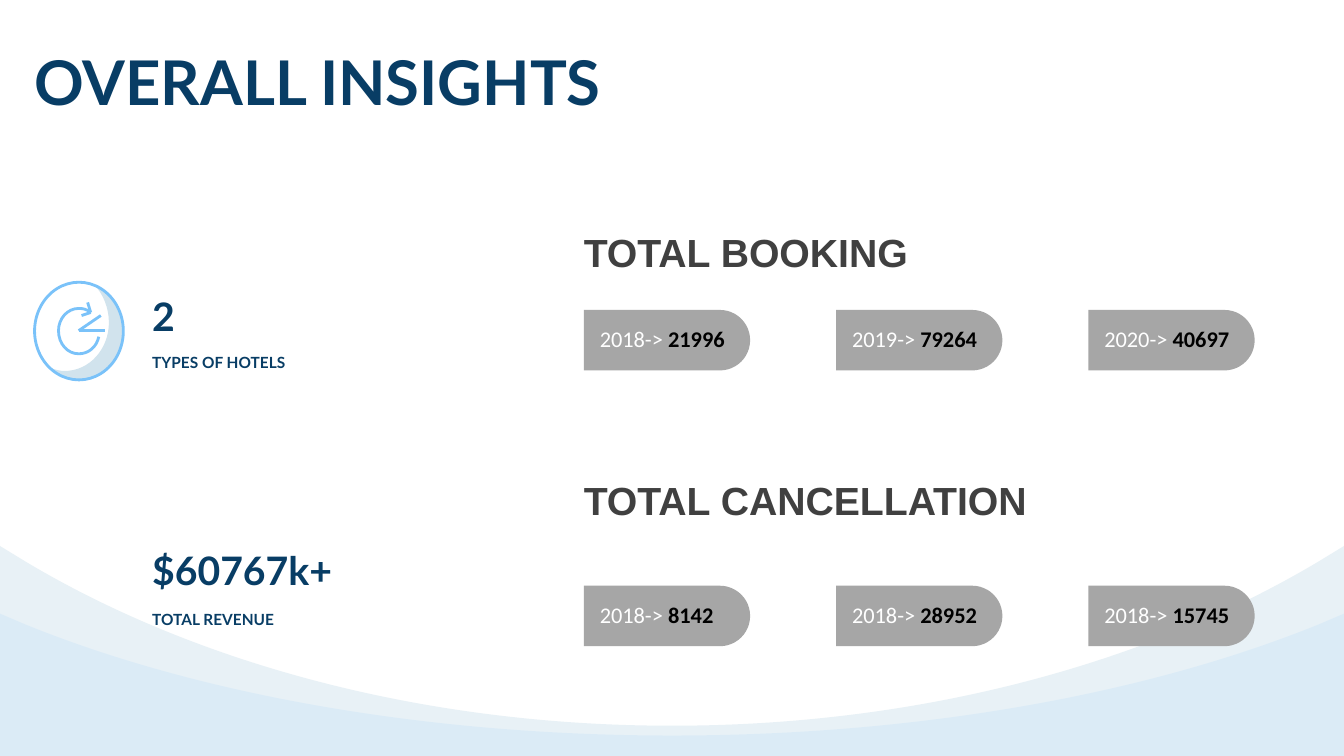
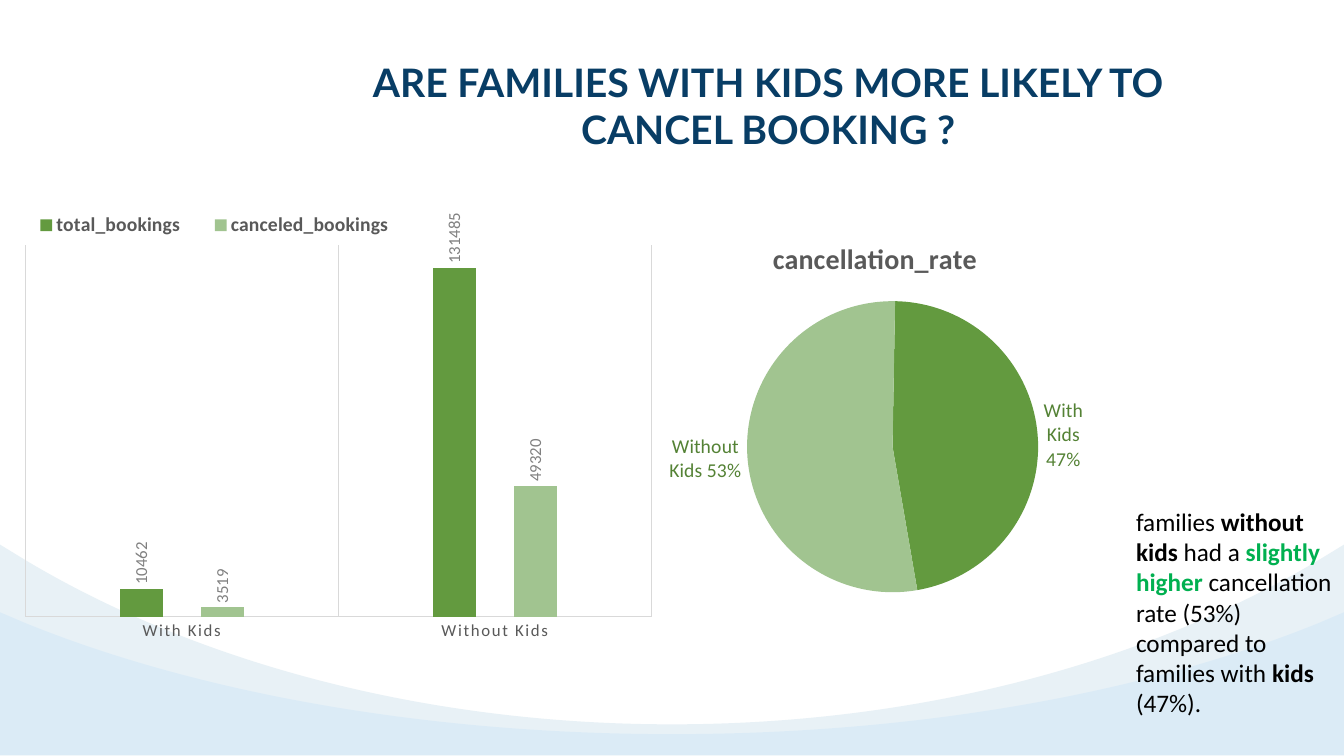
"""Builds two hotel booking slides: overall insights and cancellations by family type."""
from lxml import etree
from pptx import Presentation
from pptx.chart.data import CategoryChartData
from pptx.dml.color import RGBColor
from pptx.enum.chart import XL_CHART_TYPE, XL_LABEL_POSITION, XL_LEGEND_POSITION, XL_TICK_MARK
from pptx.enum.shapes import MSO_CONNECTOR, MSO_SHAPE
from pptx.enum.text import MSO_ANCHOR, MSO_AUTO_SIZE, PP_ALIGN
from pptx.oxml.ns import qn
from pptx.util import Pt

LEFT, CENTER, JUSTIFY = PP_ALIGN.LEFT, PP_ALIGN.CENTER, PP_ALIGN.JUSTIFY
COLUMNS, PIE = XL_CHART_TYPE.COLUMN_CLUSTERED, XL_CHART_TYPE.PIE
OUTSIDE, TOP = XL_LABEL_POSITION.OUTSIDE_END, XL_LEGEND_POSITION.TOP
NO_TICK = XL_TICK_MARK.NONE
ELLIPSE, PILL = MSO_SHAPE.OVAL, MSO_SHAPE.ROUND_2_SAME_RECTANGLE
STRAIGHT = MSO_CONNECTOR.STRAIGHT

NAVY, SKY, WHITE, BLACK = "083D65", "7AC2F9", "FFFFFF", "000000"
PALE, CRESCENT_BLUE, PILL_GREY = "E8F1F6", "D1E3ED", "A6A6A6"
DARK, GREY, LABEL_GREY, RULE = "404040", "595959", "808080", "D9D9D9"
GREENS, LABEL_GREEN, HIGHLIGHT = ("639A3F", "A1C490"), "548235", "00B050"


def font_style(name, size, color, bold=False):
    return {"name": name, "size": size, "color": color, "bold": bold}


BIG_TITLE = font_style("Lato", 44, NAVY, True)
TITLE = font_style("Lato", 28, NAVY, True)
CAPTION = font_style("Lato", 11, NAVY, True)
HEADING = font_style("Arial", 28, DARK, True)
YEAR = font_style("Calibri", 16, WHITE)
COUNT = font_style("Calibri", 16, BLACK, True)
BODY = font_style("Calibri", 18, BLACK)
STRONG = font_style("Calibri", 18, BLACK, True)
GREEN = font_style("Calibri", 18, HIGHLIGHT, True)

WAVES = [
    ([(0, 390), (18, 401), (139.7, 473.8, 302.4, 518.4, 480, 518.4),
      (658, 518.4, 820, 473.8, 942, 401), (960, 390), (960, 540.5), (0, 540.5)], PALE, None),
    ([(0, 438.3), (18, 446), (139.7, 495.4, 302.4, 525.4, 480, 525.4),
      (658, 525.4, 820, 495.4, 942, 446), (960, 438.3), (960, 540.5), (0, 540.5)], SKY, 11),
]
ICON_BOX = (24.7, 201.6, 63.4, 69.8)
CRESCENT = [(87.8, 236.2), (87.8, 255.6, 74.2, 271.4, 56.2, 271.4),
            (49, 271.4, 41.8, 268.6, 36, 262.8), (39.6, 264.2, 43.2, 265, 46.1, 265),
            (64.1, 265, 77.8, 249.1, 77.8, 230.4), (77.8, 219.6, 73.4, 209.5, 67, 203),
            (79.2, 208.1, 87.8, 221, 87.8, 236.2)]
ARC = [(70.6, 240.5), (69.1, 247.7, 63.4, 252.7, 56.2, 252.7),
       (48.2, 252.7, 41.8, 245.5, 41.8, 236.2), (41.8, 227.5, 48.2, 220.3, 56.2, 220.3),
       (59.8, 220.3, 62, 221, 64.8, 223.2)]
HANDS = [(56.2, 236.2, 72, 225.4), (56.2, 236.2, 74.9, 236.2),
         (58.3, 225.4, 64.8, 223.2), (64.8, 223.2, 62.6, 216)]

FACTS = [("2", 208.8, "TYPES OF HOTELS", 252.2), ("$60767k+", 390.2, "TOTAL REVENUE", 435.6)]
TOTALS = [
    ("TOTAL BOOKING", 163.4, 221.4, [("2018", "21996"), ("2019", "79264"), ("2020", "40697")]),
    ("TOTAL CANCELLATION", 340.2, 418.4, [("2018", "8142"), ("2018", "28952"), ("2018", "15745")]),
]
PILL_LEFT, PILL_STEP, PILL_W, PILL_H = 417, 180.2, 118.8, 43.2

FINDING = [("families ", BODY), ("without kids ", STRONG), ("had a ", BODY),
           ("slightly higher ", GREEN), ("cancellation rate (53%) compared to families with ", BODY),
           ("kids ", STRONG), ("(47%).", BODY)]
GROUPS = ["With Kids", "Without Kids"]
BOOKINGS = [("total_bookings", (10462, 131485)), ("canceled_bookings", (3519, 49320))]
RATES = [("cancellation_rate", (47, 53))]
RATE_LABELS = [("With", "Kids", "47%"), ("Without Kids 53%",)]


def rgb(color):
    return RGBColor.from_string(color)


def pts(*values):
    return [Pt(v) for v in values]


def set_font(font, style):
    for key, value in style.items():
        if key == "color":
            font.color.rgb = rgb(value)
        else:
            setattr(font, key, Pt(value) if key == "size" else value)


def fill_text(tf, runs, align=LEFT, inset=0):
    sides = ("margin_left", "margin_right", "margin_top", "margin_bottom")
    settings = {"word_wrap": True, "auto_size": MSO_AUTO_SIZE.NONE, "vertical_anchor": MSO_ANCHOR.TOP}
    settings.update(zip(sides, pts(inset, inset, inset / 2, inset / 2)))
    for key, value in settings.items():
        setattr(tf, key, value)
    p = tf.paragraphs[0]
    p.alignment = align
    for text, style in runs:
        r = p.add_run()
        r.text = text
        set_font(r.font, style)


def add_text(s, box, runs, align=LEFT, inset=0):
    fill_text(s.shapes.add_textbox(*pts(*box)).text_frame, runs, align, inset)


def paint(sp, fill=None, line=None, opacity=None):
    sp.shadow.inherit = False
    if fill:
        sp.fill.solid()
        sp.fill.fore_color.rgb = rgb(fill)
    else:
        sp.fill.background()
    if line:
        sp.line.color.rgb = rgb(line)
        sp.line.width = Pt(2)
    else:
        sp.line.fill.background()
    if opacity:
        clr = sp._element.spPr.find(qn("a:solidFill")).find(qn("a:srgbClr"))
        etree.SubElement(clr, qn("a:alpha")).set("val", str(opacity * 1000))


def add_outline(s, outline, close=True, lift=0, **look):
    parts = [pts(*(v - lift * (i % 2) for i, v in enumerate(part))) for part in outline]
    builder = s.shapes.build_freeform(*parts[0])
    builder.add_line_segments([part[-2:] for part in parts[1:]], close=close)
    sp = builder.convert_to_shape()
    segments = list(sp._element.iter(qn("a:lnTo")))
    for segment, part in zip(segments, parts[1:]):
        if len(part) == 6:
            curve = etree.Element(qn("a:cubicBezTo"))
            for x, y in zip(part[::2], part[1::2]):
                pt = etree.SubElement(curve, qn("a:pt"))
                pt.set("x", str(x - sp.left))
                pt.set("y", str(y - sp.top))
            segment.getparent().replace(segment, curve)
    paint(sp, **look)


def add_slide(prs, title, box, style, align=LEFT, lift=0):
    s = prs.slides.add_slide(prs.slide_layouts[5])
    sp = s.shapes.title
    sp.left, sp.top, sp.width, sp.height = pts(*box)
    fill_text(sp.text_frame, [(title, style)], align)
    for outline, color, opacity in WAVES:
        add_outline(s, outline, lift=lift, fill=color, opacity=opacity)
    return s


def add_icon(s):
    paint(s.shapes.add_shape(ELLIPSE, *pts(*ICON_BOX)), fill=WHITE)
    add_outline(s, CRESCENT, fill=CRESCENT_BLUE)
    paint(s.shapes.add_shape(ELLIPSE, *pts(*ICON_BOX)), line=SKY)
    add_outline(s, ARC, close=False, line=SKY)
    for hand in HANDS:
        line = s.shapes.add_connector(STRAIGHT, *pts(*hand))
        line.line.color.rgb = rgb(SKY)
        line.line.width = Pt(2)
        etree.SubElement(line._element.spPr, qn("a:effectLst"))


def add_pill(s, left, top, year, count):
    shift = (PILL_W - PILL_H) / 2
    sp = s.shapes.add_shape(PILL, *pts(left + shift, top - shift, PILL_H, PILL_W))
    sp.rotation = 90
    sp.adjustments[0], sp.adjustments[1] = 0.5, 0
    paint(sp, fill=PILL_GREY)
    add_text(s, (left + 11.4, top + 10.7, 107, 19.4), [(year + "-> ", YEAR), (count, COUNT)])


def set_layout(parent, index, inner, **place):
    for old in parent.findall(qn("c:layout")):
        parent.remove(old)
    layout = etree.Element(qn("c:layout"))
    manual = etree.SubElement(layout, qn("c:manualLayout"))
    values = {"layoutTarget": "inner"} if inner else {}
    values.update(xMode="edge", yMode="edge", **place)
    for tag, value in values.items():
        etree.SubElement(manual, qn("c:" + tag)).set("val", str(value))
    parent.insert(index, layout)


def add_chart(s, kind, box, series, **place):
    data = CategoryChartData()
    data.categories = GROUPS
    for name, values in series:
        data.add_series(name, values)
    chart = s.shapes.add_chart(kind, *pts(*box), data).chart
    set_font(chart.font, font_style("Calibri", 10, BLACK))
    set_layout(chart._chartSpace.find(".//" + qn("c:plotArea")), 0, True, **place)
    return chart


def color_fill(part, color):
    part.format.fill.solid()
    part.format.fill.fore_color.rgb = rgb(color)


def add_bookings(s):
    chart = add_chart(s, COLUMNS, (8.8, 139.8, 465.8, 323.3), BOOKINGS, x=0.02, y=0.11, w=0.96, h=0.82)
    chart.has_title = False
    chart.has_legend = True
    chart.legend.position = TOP
    chart.legend.include_in_layout = False
    set_font(chart.legend.font, font_style("Calibri", 14, GREY, True))
    set_layout(chart.legend._element, 1, False, x=0, y=0.03, w=0.62, h=0.07)
    axis, scale = chart.category_axis, chart.value_axis
    axis.major_tick_mark = NO_TICK
    axis.has_major_gridlines = True
    for line in (axis.format.line, axis.major_gridlines.format.line):
        line.color.rgb = rgb(RULE)
        line.width = Pt(0.75)
    set_font(axis.tick_labels.font, font_style("Calibri", 12, GREY))
    axis._element.find(".//" + qn("a:defRPr")).set("spc", "120")
    scale.minimum_scale, scale.maximum_scale = 0, 140000
    scale.has_major_gridlines = False
    scale.visible = False
    plot = chart.plots[0]
    plot.vary_by_categories = False
    plot.gap_width, plot.overlap = 444, -90
    for bars, color in zip(plot.series, GREENS):
        color_fill(bars, color)
        labels = bars.data_labels
        labels.show_value = True
        labels.position = OUTSIDE
        set_font(labels.font, font_style("Calibri", 12, LABEL_GREY))
        turn = labels._element.find(".//" + qn("a:bodyPr"))
        turn.set("rot", "-5400000")
        turn.set("vert", "horz")


def add_rates(s):
    chart = add_chart(s, PIE, (445, 157.7, 360, 273.6), RATES, x=0.24, y=0.21, w=0.59, h=0.76)
    chart.has_legend = False
    chart.has_title = True
    r = chart.chart_title.text_frame.paragraphs[0].add_run()
    r.text = RATES[0][0]
    set_font(r.font, font_style("Calibri", 20, GREY, True))
    plot = chart.plots[0]
    plot.vary_by_categories = False
    pie = plot._element
    for old in pie.findall(qn("c:firstSliceAng")):
        pie.remove(old)
    etree.SubElement(pie, qn("c:firstSliceAng")).set("val", "1")
    for i, (lines, color) in enumerate(zip(RATE_LABELS, GREENS)):
        point = plot.series[0].points[i]
        color_fill(point, color)
        tf = point.data_label.text_frame
        for n, text in enumerate(lines):
            p = tf.add_paragraph() if n else tf.paragraphs[0]
            r = p.add_run()
            r.text = text
            set_font(r.font, font_style("Calibri", 14, LABEL_GREEN))
        point.data_label.position = OUTSIDE


def main():
    prs = Presentation()
    prs.slide_width, prs.slide_height = pts(960, 540)

    s = add_slide(prs, "OVERALL INSIGHTS", (24.5, 31, 420.5, 53.3), BIG_TITLE)
    add_icon(s)
    for figure, figure_top, caption, caption_top in FACTS:
        add_text(s, (108.7, figure_top, 203, 33.8), [(figure, TITLE)])
        add_text(s, (108.7, caption_top, 146, 20), [(caption, CAPTION)])
    for heading, heading_top, pill_top, years in TOTALS:
        add_text(s, (PILL_LEFT, heading_top, 371.5, 33.8), [(heading, HEADING)], JUSTIFY)
        for i, (year, count) in enumerate(years):
            add_pill(s, PILL_LEFT + i * PILL_STEP, pill_top, year, count)

    s = add_slide(prs, "ARE FAMILIES WITH KIDS MORE LIKELY TO CANCEL BOOKING ?",
                  (215.3, 41.8, 666.7, 67.7), TITLE, CENTER, lift=1)
    add_text(s, (804.4, 358, 164.2, 160), FINDING, inset=7.2)
    add_bookings(s)
    add_rates(s)
    prs.save("out.pptx")


if __name__ == "__main__":
    main()
